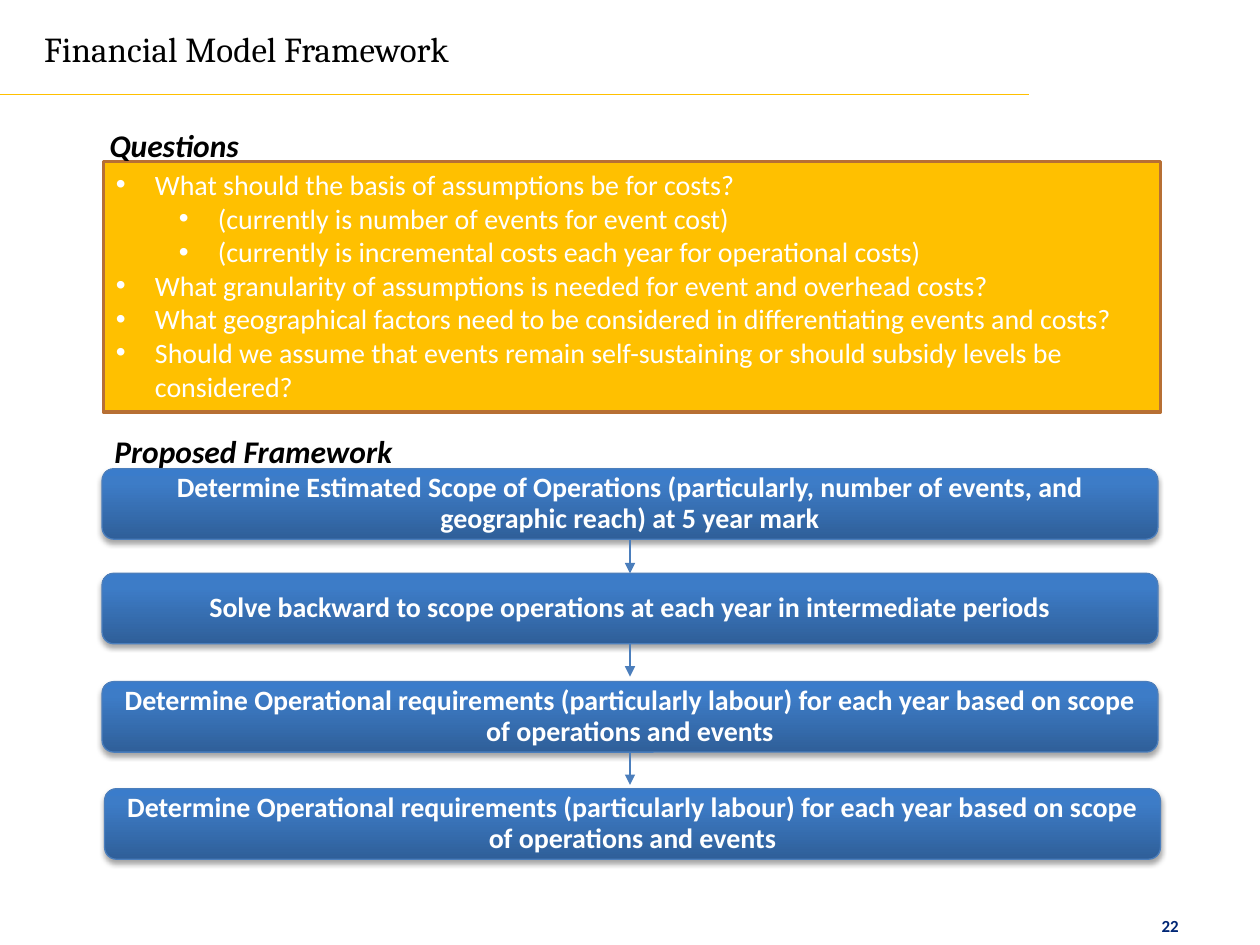
from copy import deepcopy

from lxml.etree import SubElement
from pptx import Presentation
from pptx.dml.color import RGBColor
from pptx.enum.shapes import MSO_CONNECTOR, MSO_SHAPE
from pptx.enum.text import MSO_ANCHOR, MSO_AUTO_SIZE, PP_ALIGN
from pptx.oxml.ns import qn
from pptx.util import Inches, Pt

BLACK = RGBColor(0x00, 0x00, 0x00)
WHITE = RGBColor(0xFF, 0xFF, 0xFF)
NAVY = RGBColor(0x00, 0x27, 0x76)
GOLD = RGBColor(0xFF, 0xC0, 0x00)
BROWN = RGBColor(0xB7, 0x6F, 0x34)
BLUE = RGBColor(0x4B, 0x7E, 0xBC)
STEP_GRADIENT = [
    (0, RGBColor(0x2F, 0x5F, 0x99)),
    (0.8, RGBColor(0x3D, 0x7C, 0xC7)),
    (1, RGBColor(0x3A, 0x7C, 0xCB)),
]

QUESTIONS = [
    (0, "What should the basis of assumptions be for costs?"),
    (1, "(currently is number of events for event cost)"),
    (1, "(currently is incremental costs each year for operational costs)"),
    (0, "What granularity of assumptions is needed for event and overhead costs?"),
    (0, "What geographical factors need to be considered in differentiating events and costs?"),
    (0, "Should we assume that events remain self-sustaining or should subsidy levels be considered?"),
]
REQUIREMENTS = (
    "Determine Operational requirements (particularly labour) for each year "
    "based on scope of operations and events"
)
STEPS = [
    (0.81, 3.72, "Determine Estimated Scope of Operations (particularly, number of events, "
                 "and geographic reach) at 5 year mark"),
    (0.81, 4.55, "Solve backward to scope operations at each year in intermediate periods"),
    (0.81, 5.41, REQUIREMENTS),
    (0.83, 6.26, REQUIREMENTS),
]
STEP_WIDTH, STEP_HEIGHT = 8.38, 0.56
ARROW_LENGTH = 0.26


def style_text(paragraph, size, color, name="Calibri", bold=False, italic=False):
    font = paragraph.font
    font.name, font.size, font.bold, font.italic = name, Pt(size), bold, italic
    font.color.rgb = color


def add_line(x1, y1, x2, y2, color):
    line = slide.shapes.add_connector(
        MSO_CONNECTOR.STRAIGHT, Inches(x1), Inches(y1), Inches(x2), Inches(y2))
    line.line.color.rgb = color
    line.line.width = Pt(0.75)
    SubElement(line._element.spPr, qn("a:effectLst"))
    return line


prs = Presentation()
prs.slide_width, prs.slide_height = Inches(10), Inches(7.5)
slide = prs.slides.add_slide(prs.slide_layouts[1])
title, questions = slide.placeholders

# Title and rule
title.left, title.top, title.width, title.height = map(Inches, (0.25, 0.17, 3.55, 0.44))
title.text_frame.text = "Financial Model Framework"
title.text_frame.word_wrap = False
title.text_frame.auto_size = MSO_AUTO_SIZE.NONE
title.text_frame.vertical_anchor = MSO_ANCHOR.TOP
title.text_frame.paragraphs[0].alignment = PP_ALIGN.LEFT
style_text(title.text_frame.paragraphs[0], 20, BLACK, name="Cambria")
add_line(0, 0.75, 8.17, 0.75, GOLD)

# Framework steps
steps = []
for left, top, wording in STEPS:
    step = slide.shapes.add_shape(
        MSO_SHAPE.ROUNDED_RECTANGLE, Inches(left), Inches(top),
        Inches(STEP_WIDTH), Inches(STEP_HEIGHT))
    step.line.color.rgb = BLUE
    step.line.width = Pt(0.75)
    step.fill.gradient()
    step.fill.gradient_angle = 90
    last_stop = step._element.spPr.findall(".//" + qn("a:gs"))[-1]
    last_stop.addnext(deepcopy(last_stop))
    for stop, (position, color) in zip(step.fill.gradient_stops, STEP_GRADIENT):
        stop.position = position
        stop.color.rgb = color
    step.shadow.inherit = False
    shadow = SubElement(
        step._element.spPr.find(qn("a:effectLst")), qn("a:outerShdw"),
        blurRad=str(Pt(3.1)), dist=str(Pt(1.8)), dir="5400000", rotWithShape="0")
    shadow_color = SubElement(shadow, qn("a:srgbClr"), val="000000")
    SubElement(shadow_color, qn("a:alpha"), val="35000")

    step.text_frame.text = wording
    step.text_frame.word_wrap = True
    step.text_frame.vertical_anchor = MSO_ANCHOR.MIDDLE
    paragraph = step.text_frame.paragraphs[0]
    paragraph.alignment = PP_ALIGN.CENTER
    paragraph.line_spacing = 0.9
    style_text(paragraph, 16, WHITE, bold=True)
    steps.append(step)

# Arrows between steps; only the first one reaches the next step
for index, (_, top, _) in enumerate(STEPS[:-1]):
    bottom = top + STEP_HEIGHT
    arrow = add_line(5, bottom, 5, bottom + ARROW_LENGTH, BLUE)
    arrow.begin_connect(steps[index], 2)
    if index == 0:
        arrow.end_connect(steps[1], 0)
    SubElement(arrow.line._get_or_add_ln(), qn("a:tailEnd"), type="triangle")

# Question list
questions.left, questions.top, questions.width, questions.height = map(
    Inches, (0.82, 1.28, 8.39, 1.99))
questions.fill.solid()
questions.fill.fore_color.rgb = GOLD
questions.line.color.rgb = BROWN
questions.line.width = Pt(2)
frame = questions.text_frame
frame.auto_size = MSO_AUTO_SIZE.NONE
frame.vertical_anchor = MSO_ANCHOR.TOP
for index, (level, question) in enumerate(QUESTIONS):
    paragraph = frame.add_paragraph() if index else frame.paragraphs[0]
    paragraph.text = question
    paragraph.level = level
    paragraph.space_before = Pt(0)
    properties = paragraph._p.get_or_add_pPr()
    properties.set("marL", str(Inches(0.31 + 0.5 * level)))
    properties.set("indent", str(Inches(-0.31)))
    SubElement(properties, qn("a:buFont"), typeface="Arial")
    SubElement(properties, qn("a:buChar"), char="•")
    style_text(paragraph, 16, WHITE)

# Section headings and page number
for left, top, width, height, wording, size, color, italic in [
    (0.77, 0.95, 1.23, 0.4, "Questions", 18, BLACK, True),
    (0.81, 3.38, 2.43, 0.4, "Proposed Framework", 18, BLACK, True),
    (9.12, 7.22, 0.38, 0.15, "22", 9.7, NAVY, False),
]:
    label = slide.shapes.add_textbox(*map(Inches, (left, top, width, height)))
    label.text_frame.text = wording
    label.text_frame.word_wrap = False
    style_text(label.text_frame.paragraphs[0], size, color, bold=True, italic=italic)

prs.save("out.pptx")
